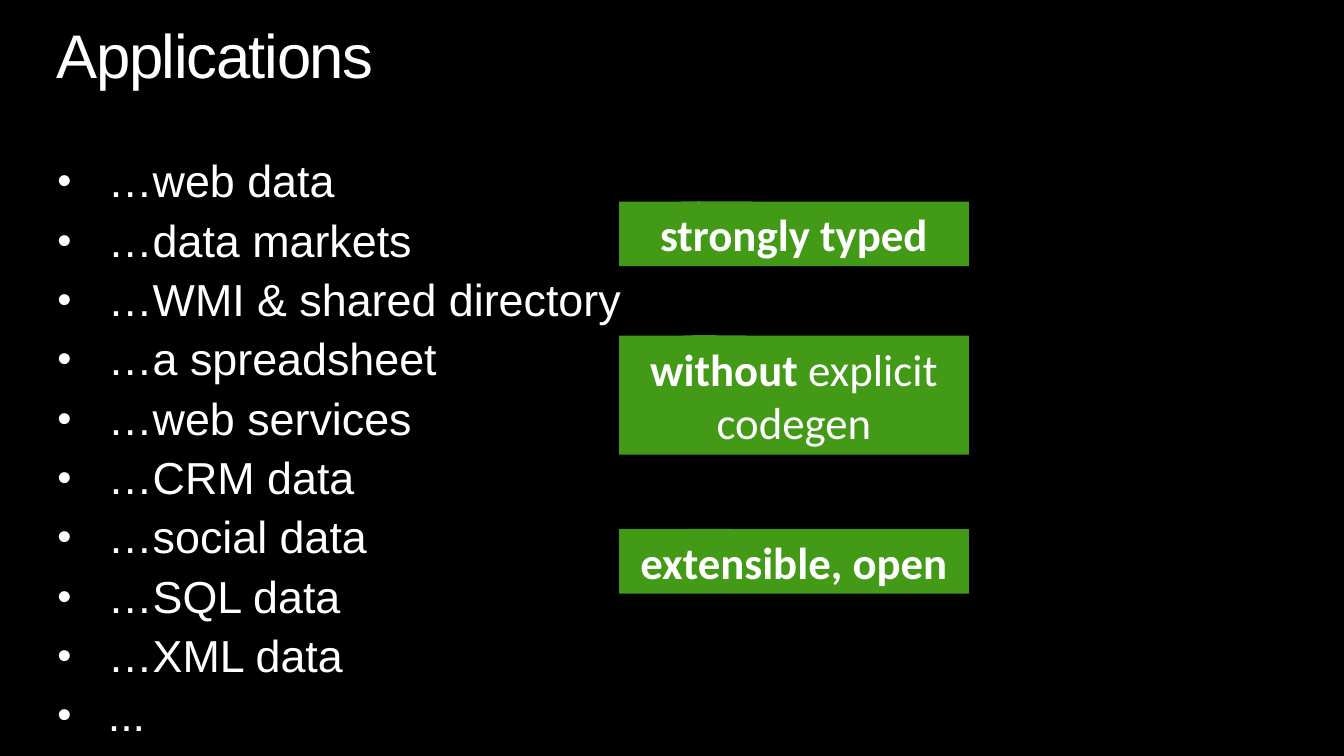
from dataclasses import dataclass

from lxml.etree import SubElement
from pptx import Presentation
from pptx.dml.color import RGBColor
from pptx.enum.shapes import MSO_SHAPE
from pptx.enum.text import MSO_ANCHOR, MSO_AUTO_SIZE, PP_ALIGN
from pptx.oxml.ns import qn
from pptx.util import Inches, Pt


@dataclass(frozen=True)
class Theme:
    background: RGBColor = RGBColor(0x00, 0x00, 0x00)
    text: RGBColor = RGBColor(0xFF, 0xFF, 0xFF)
    callout: RGBColor = RGBColor(0x42, 0x9A, 0x16)
    title_size: Pt = Pt(44)
    text_size: Pt = Pt(32)
    list_gap: Pt = Pt(7.8)
    main_font: str = "Arial"
    callout_font: str = "Calibri"


THEME = Theme()

APPLICATIONS = [
    "…web data",
    "…data markets",
    "…WMI & shared directory",
    "…a spreadsheet",
    "…web services",
    "…CRM data",
    "…social data",
    "…SQL data",
    "…XML data",
    "...",
]

# Top, height, and (text, bold) parts of each callout
CALLOUTS = [
    (3.33, 1.18, [("without ", True), ("explicit codegen", False)]),
    (2.0, 0.64, [("strongly typed", True)]),
    (5.25, 0.64, [("extensible, open", True)]),
]


def apply_format(target, values):
    for attribute, value in values.items():
        setattr(target, attribute, value)


def add_run(paragraph, text, font_name, size, bold=False):
    run = paragraph.add_run()
    run.text = text
    apply_format(run.font, {"name": font_name, "size": size, "bold": bold})
    run.font.color.rgb = THEME.text
    return run


def place(placeholder, left, top, width, height):
    apply_format(placeholder, {
        "left": Inches(left), "top": Inches(top),
        "width": Inches(width), "height": Inches(height),
    })
    frame = placeholder.text_frame
    apply_format(frame, {
        "margin_left": 0, "margin_top": 0, "margin_right": 0, "margin_bottom": 0,
        "word_wrap": True, "vertical_anchor": MSO_ANCHOR.TOP,
        "auto_size": MSO_AUTO_SIZE.SHAPE_TO_FIT_TEXT,
    })
    return frame


def add_bullet(paragraph):
    properties = paragraph._p.get_or_add_pPr()
    properties.set("marL", str(Inches(0.5)))
    properties.set("indent", str(Inches(-0.5)))
    SubElement(properties, qn("a:buSzPct"), val="90000")
    SubElement(properties, qn("a:buFont"), typeface=THEME.main_font)
    SubElement(properties, qn("a:buChar"), char="•")


def fill_title(slide, text):
    heading = place(slide.shapes.title, 0.56, 0.25, 12.22, 0.67).paragraphs[0]
    apply_format(heading, {"alignment": PP_ALIGN.LEFT, "line_spacing": 0.9,
                           "space_before": Pt(0)})
    run = add_run(heading, text, THEME.main_font, THEME.title_size)
    run.font._element.set("spc", "-100")


def fill_list(slide, items):
    frame = place(slide.placeholders[1], 0.57, 1.58, 12.19, 6.41)
    for index, item in enumerate(items):
        entry = frame.add_paragraph() if index else frame.paragraphs[0]
        add_bullet(entry)
        apply_format(entry, {"line_spacing": 0.9,
                             "space_before": THEME.list_gap if index else Pt(0)})
        add_run(entry, item, THEME.main_font, THEME.text_size)


def add_callout(slide, top, height, parts):
    callout = slide.shapes.add_shape(
        MSO_SHAPE.RECTANGULAR_CALLOUT,
        Inches(6.14), Inches(top), Inches(3.47), Inches(height))
    callout.adjustments[0] = -0.273
    callout.adjustments[1] = -0.505
    callout.shadow.inherit = False
    callout.fill.solid()
    callout.fill.fore_color.rgb = THEME.callout
    callout.line.fill.background()
    apply_format(callout.text_frame, {
        "word_wrap": True, "vertical_anchor": MSO_ANCHOR.MIDDLE,
        "auto_size": MSO_AUTO_SIZE.SHAPE_TO_FIT_TEXT,
    })
    label = callout.text_frame.paragraphs[0]
    label.alignment = PP_ALIGN.CENTER
    for text, bold in parts:
        add_run(label, text, THEME.callout_font, THEME.text_size, bold)


def main():
    presentation = Presentation()
    apply_format(presentation, {"slide_width": Inches(13.33),
                                "slide_height": Inches(7.5)})
    slide = presentation.slides.add_slide(presentation.slide_layouts[1])
    slide.background.fill.solid()
    slide.background.fill.fore_color.rgb = THEME.background

    # Title and list of applications
    fill_title(slide, "Applications")
    fill_list(slide, APPLICATIONS)

    # Green callouts
    for top, height, parts in CALLOUTS:
        add_callout(slide, top, height, parts)

    presentation.save("out.pptx")


if __name__ == "__main__":
    main()
